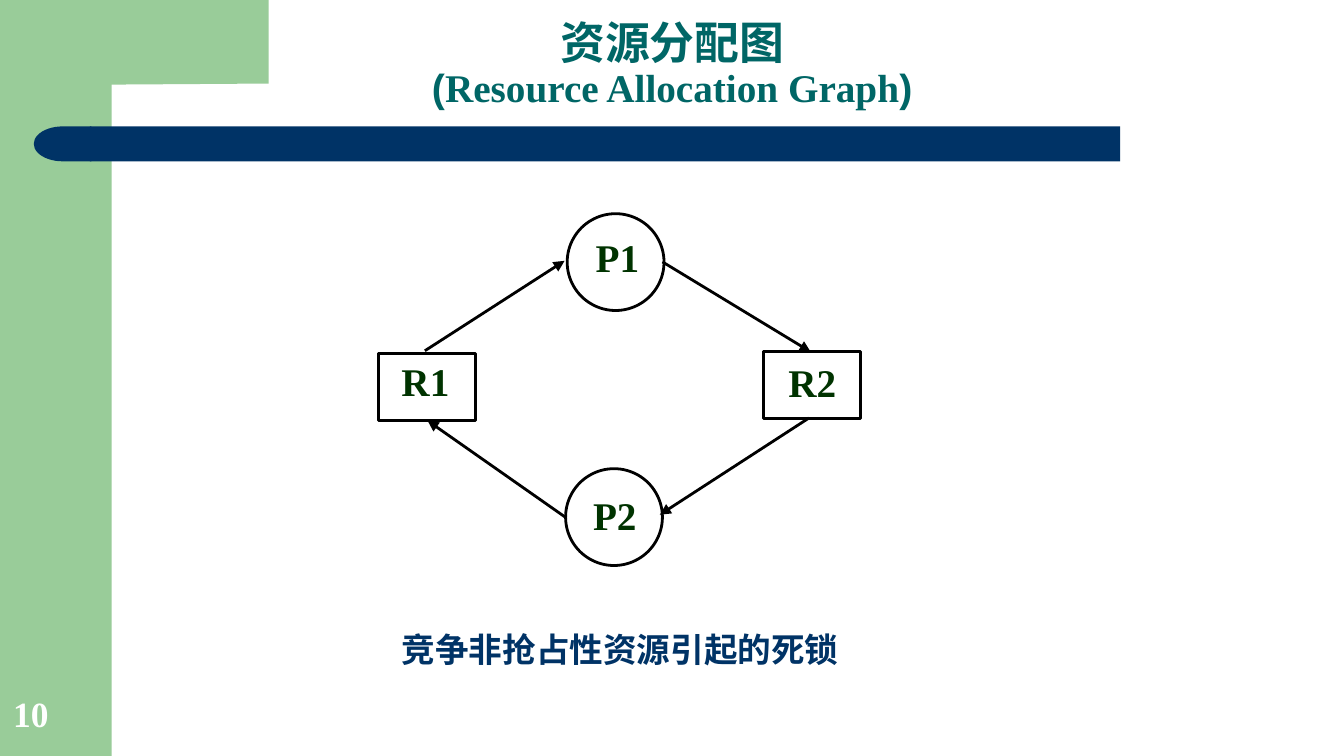
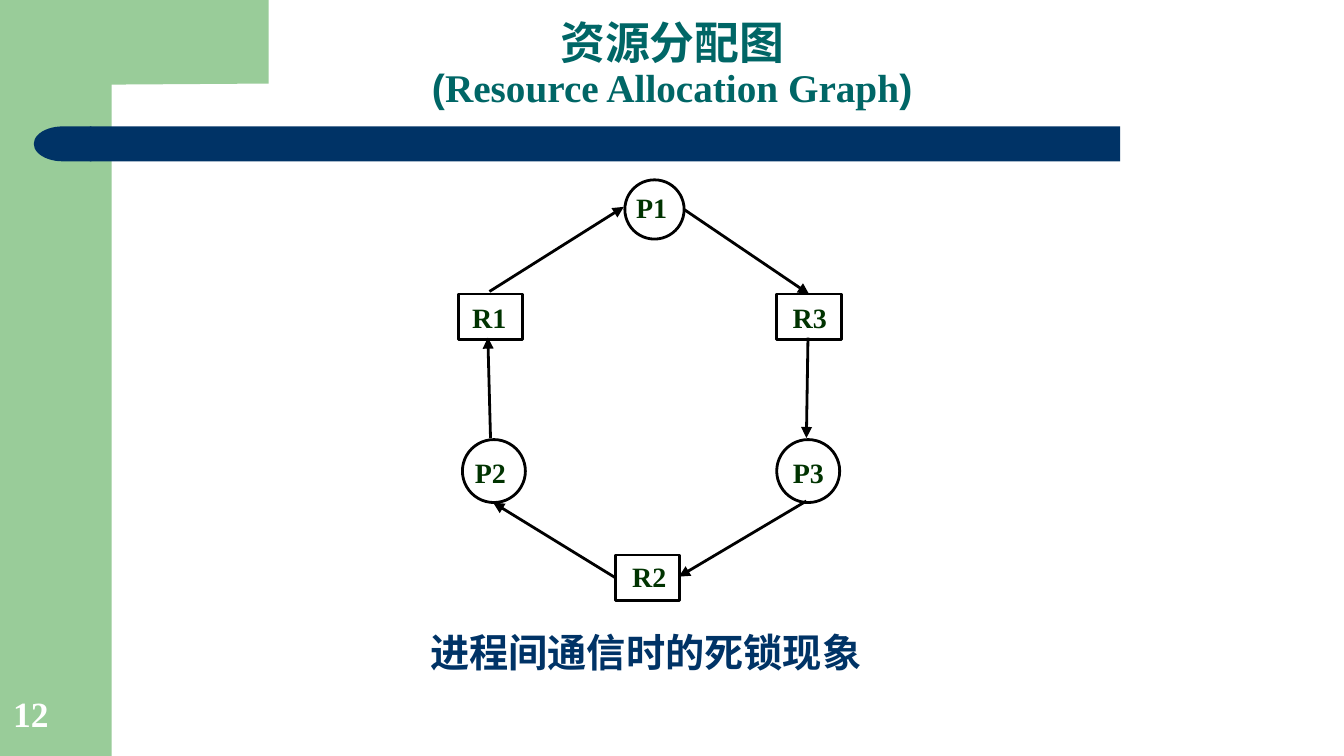
import copy
from dataclasses import dataclass

import lxml.etree
import pptx
import pptx.dml.color
import pptx.enum.shapes
import pptx.enum.text
import pptx.oxml.ns
import pptx.util

Cm = pptx.util.Cm
Pt = pptx.util.Pt
MSO = pptx.enum.shapes.MSO_SHAPE
ALIGN = pptx.enum.text.PP_ALIGN
ANCHOR = pptx.enum.text.MSO_ANCHOR
AUTO = pptx.enum.text.MSO_AUTO_SIZE
qn = pptx.oxml.ns.qn
rgb = pptx.dml.color.RGBColor.from_string


@dataclass(frozen=True)
class Theme:
    green: str = "99CC99"
    navy: str = "003366"
    teal: str = "006666"
    label: str = "003300"
    black: str = "000000"
    white: str = "FFFFFF"
    sans: str = "Arial"
    serif: str = "Times New Roman"
    title: int = 24
    subtitle: int = 21
    number: int = 19
    line: float = 1.5


def write(p, text, *, size, color, font, bold=True):
    r = p.add_run()
    r.text = text
    r.font.size = Pt(size)
    r.font.name = font
    r.font.bold = bold
    r.font.color.rgb = rgb(color)
    return r


class Deck:
    def __init__(self, theme):
        self.theme = theme
        self.prs = pptx.Presentation()
        self.prs.slide_width = Cm(25.4)
        self.prs.slide_height = Cm(14.29)
        self.s = None

    def new_slide(self, number):
        t = self.theme
        self.s = self.prs.slides.add_slide(self.prs.slide_layouts[5])
        self.shape(MSO.RECTANGLE, 0, 0, 2.11, 14.29, fill=t.green)
        self.corner()
        bar = self.shape(MSO.ROUNDED_RECTANGLE, 1.7, 2.39, 19.47, 0.66, fill=t.navy)
        bar.adjustments[0] = 0
        cap = self.shape(MSO.FLOWCHART_DELAY, 0.64, 2.39, 1.09, 0.66, fill=t.navy)
        cap._element.spPr.find(qn("a:xfrm")).set("flipH", "1")
        self.title("资源分配图", "Resource Allocation Graph")
        self.text(number, 0, 13, 2.08, 1.02, size=t.number, color=t.white,
                  font=t.serif, align=ALIGN.LEFT, anchor=ANCHOR.BOTTOM)

    def paint(self, sp, fill, line):
        sp.shadow.inherit = False
        if fill:
            sp.fill.solid()
            sp.fill.fore_color.rgb = rgb(fill)
        else:
            sp.fill.background()
        if line:
            sp.line.color.rgb = rgb(line)
            sp.line.width = Pt(self.theme.line)
        else:
            sp.line.fill.background()

    def shape(self, kind, x, y, w, h, fill=None, line=None):
        sp = self.s.shapes.add_shape(kind, Cm(x), Cm(y), Cm(w), Cm(h))
        self.paint(sp, fill, line)
        return sp

    def corner(self):
        """Draw the green block at top left with its rounded inner corner."""
        points = [(5.08, 0), (5.08, 1.58), (2.11, 1.6), (1.96, 1.63),
                  (1.8, 1.75), (1.73, 1.98), (1.7, 2.21), (1.7, 2.44),
                  (1.27, 2.44), (1.27, 0)]
        (x, y), *rest = [(Cm(px), Cm(py)) for px, py in points]
        fb = self.s.shapes.build_freeform(x, y)
        fb.add_line_segments(rest, close=True)
        self.paint(fb.convert_to_shape(), self.theme.green, None)

    def title(self, chinese, english):
        t = self.theme
        sp = self.s.shapes.title
        sp.left, sp.top, sp.width, sp.height = Cm(3.33), Cm(0.15), Cm(18.75), Cm(2.08)
        tf = sp.text_frame
        tf.auto_size = AUTO.NONE
        tf.vertical_anchor = ANCHOR.BOTTOM
        p = tf.paragraphs[0]
        p.alignment = ALIGN.CENTER
        p.line_spacing = 0.9
        r = write(p, chinese, size=t.title, color=t.teal, font=t.sans)
        p.add_line_break()
        p._p[-1].append(copy.deepcopy(r._r.rPr))
        for part, font in (("(", t.sans), (english, t.serif), (")", t.sans)):
            write(p, part, size=t.subtitle, color=t.teal, font=font)

    def text(self, text, x, y, w, h, align=ALIGN.CENTER, anchor=ANCHOR.TOP, **style):
        tf = self.s.shapes.add_textbox(Cm(x), Cm(y), Cm(w), Cm(h)).text_frame
        tf.word_wrap = True
        tf.vertical_anchor = anchor
        p = tf.paragraphs[0]
        p.alignment = align
        write(p, text, **style)

    def node(self, name, box, label, size):
        """Draw a process (P) as a circle or a resource (R) as a box."""
        t = self.theme
        kind = MSO.OVAL if name.startswith("P") else MSO.RECTANGLE
        self.shape(kind, *box, line=t.black)
        self.text(name, *label, size=size, color=t.label, font=t.serif)

    def arrow(self, x1, y1, x2, y2):
        c = self.s.shapes.add_connector(pptx.enum.shapes.MSO_CONNECTOR.STRAIGHT,
                                        Cm(x1), Cm(y1), Cm(x2), Cm(y2))
        c.line.color.rgb = rgb(self.theme.black)
        c.line.width = Pt(self.theme.line)
        spPr = c._element.spPr
        lxml.etree.SubElement(spPr.find(qn("a:ln")), qn("a:tailEnd"), type="triangle")
        lxml.etree.SubElement(spPr, qn("a:effectLst"))

    def graph(self, nodes, arrows, size):
        for name, box, label in nodes:
            self.node(name, box, label, size)
        for ends in arrows:
            self.arrow(*ends)

    def caption(self, text, x, w, h, size):
        self.text(text, x, 11.76, w, h, size=size,
                  color=self.theme.navy, font=self.theme.sans)


# Each node: name, outline box, label box (left, top, width, height)
TWO_PROCESS_NODES = [
    ("P1", (10.72, 4.04, 1.83, 1.83), (10.82, 4.29, 1.7, 1.14)),
    ("P2", (10.69, 8.86, 1.83, 1.83), (10.77, 9.17, 1.7, 1.14)),
    ("R2", (14.43, 6.65, 1.83, 1.27), (14.5, 6.65, 1.7, 1.14)),
    ("R1", (7.16, 6.68, 1.83, 1.27), (7.19, 6.63, 1.7, 1.14)),
]
TWO_PROCESS_ARROWS = [
    (12.52, 4.95, 15.32, 6.65),
    (15.29, 7.9, 12.47, 9.73),
    (10.69, 9.78, 8.08, 7.95),
    (8.03, 6.63, 10.67, 4.93),
]
THREE_PROCESS_NODES = [
    ("P1", (11.81, 3.4, 1.12, 1.12), (11.68, 3.48, 1.27, 0.89)),
    ("P2", (8.74, 8.31, 1.19, 1.19), (8.56, 8.48, 1.42, 0.89)),
    ("P3", (14.68, 8.31, 1.19, 1.19), (14.58, 8.48, 1.4, 0.89)),
    ("R1", (8.66, 5.56, 1.22, 0.86), (8.43, 5.56, 1.63, 0.89)),
    ("R2", (11.63, 10.49, 1.22, 0.86), (11.56, 10.46, 1.42, 0.89)),
    ("R3", (14.68, 5.56, 1.22, 0.86), (14.63, 5.56, 1.35, 0.89)),
]
THREE_PROCESS_ARROWS = [
    (9.25, 5.51, 11.79, 3.91),
    (12.93, 3.96, 15.29, 5.56),
    (15.27, 6.38, 15.24, 8.28),
    (15.24, 9.47, 12.83, 10.9),
    (11.63, 10.92, 9.32, 9.5),
    (9.27, 8.28, 9.22, 6.38),
]


def main():
    deck = Deck(Theme())

    deck.new_slide("10")
    deck.graph(TWO_PROCESS_NODES, TWO_PROCESS_ARROWS, size=21)
    deck.caption("竞争非抢占性资源引起的死锁", 6.4, 10.64, 1.02, size=18)

    deck.new_slide("12")
    deck.graph(THREE_PROCESS_NODES, THREE_PROCESS_ARROWS, size=15)
    deck.caption("进程间通信时的死锁现象", 7.44, 9.53, 1.14, size=21)

    deck.prs.save("out.pptx")


if __name__ == "__main__":
    main()
